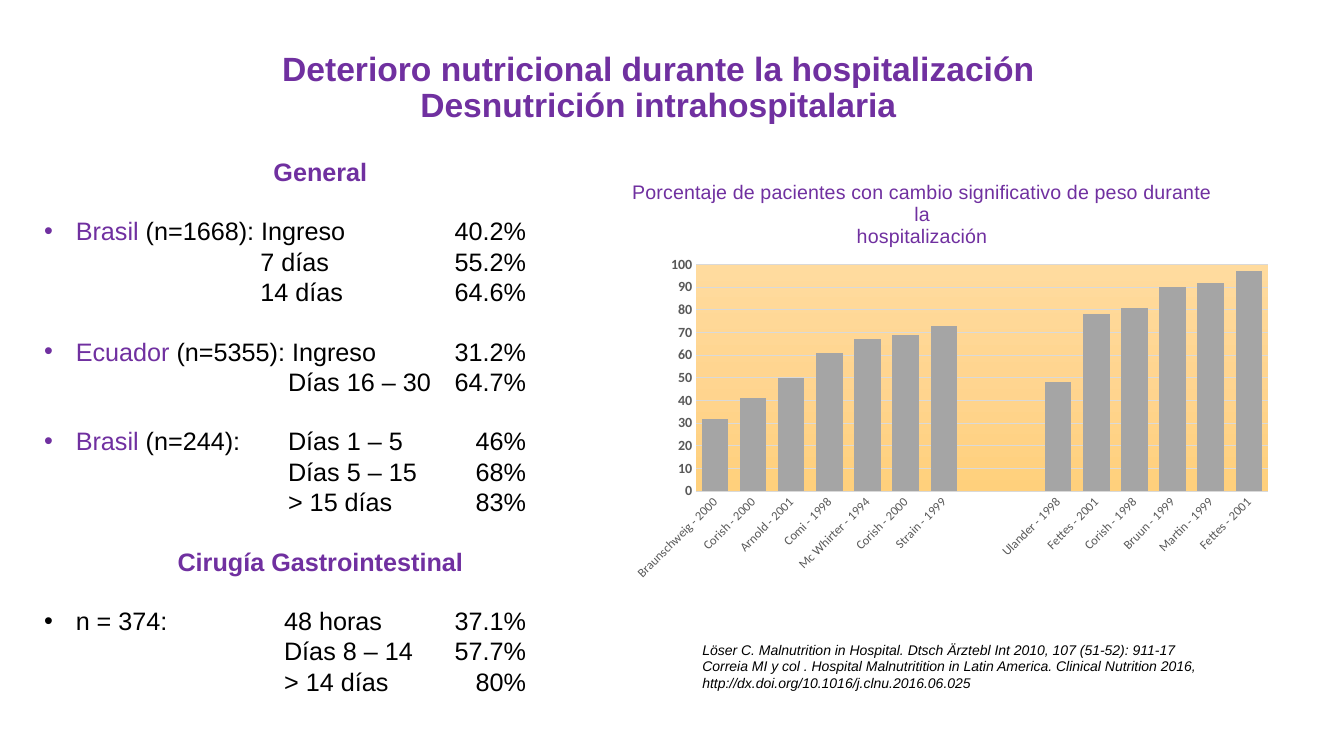
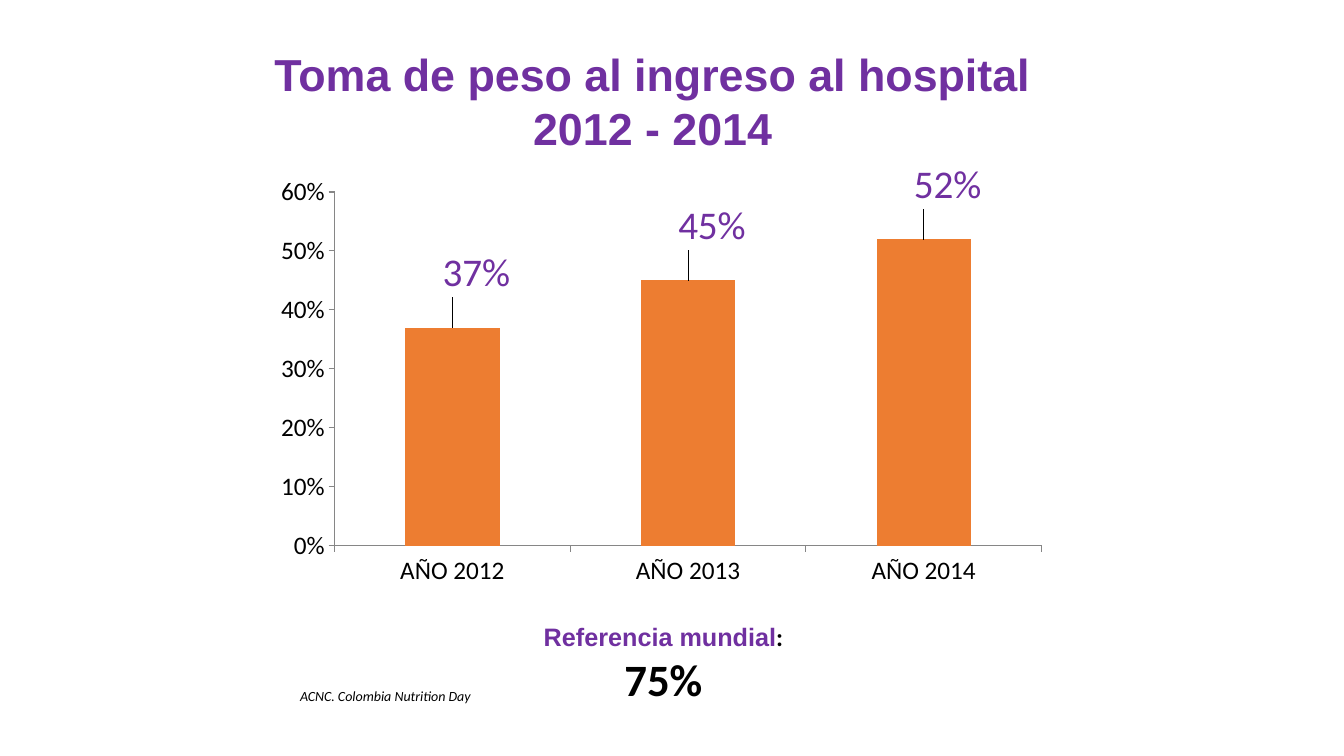
from lxml import etree
from pptx import Presentation
from pptx.chart.data import CategoryChartData
from pptx.dml.color import RGBColor
from pptx.enum.chart import XL_CHART_TYPE, XL_LABEL_POSITION, XL_TICK_MARK
from pptx.enum.text import MSO_ANCHOR, MSO_AUTO_SIZE, PP_ALIGN
from pptx.oxml.ns import qn
from pptx.util import Cm, Pt

COLUMN = XL_CHART_TYPE.COLUMN_CLUSTERED
OUTER = XL_LABEL_POSITION.OUTSIDE_END
NO_TICK, OUT_TICK = XL_TICK_MARK.NONE, XL_TICK_MARK.OUTSIDE
LEFT, CENTER = PP_ALIGN.LEFT, PP_ALIGN.CENTER
MIDDLE = MSO_ANCHOR.MIDDLE
FIXED = MSO_AUTO_SIZE.NONE

PURPLE, BLACK, ORANGE = "7030A0", "000000", "ED7D31"
BAR, GRID, LABEL, AXIS = "A5A5A5", "D9D9D9", "595959", "868686"
GLOW = [(0, "FFDB9E"), (50, "FFD590"), (100, "FFD07C")]

HANG = 0.8       # hanging indent of the bullets, cm
EDGE = 12.15     # right-aligned column of figures, cm
GAP = 21         # space between groups, points

# Each group: name, remark, label column in cm, rows of label and figure
GENERAL = [
    ("Brasil", " (n=1668): Ingreso", 5.45,
     [("", "40.2%"), ("7 días", "55.2%"), ("14 días", "64.6%")]),
    ("Ecuador", " (n=5355): Ingreso", 6.15,
     [("", "31.2%"), ("Días 16 – 30", "64.7%")]),
    ("Brasil", " (n=244):", 6.15,
     [("Días 1 – 5", "46%"), ("Días 5 – 15", "68%"), ("> 15 días", "83%")]),
]
SURGERY = [
    ("", "n = 374:", 6.05,
     [("48 horas", "37.1%"), ("Días 8 – 14", "57.7%"), ("> 14 días", "80%")]),
]
STUDIES = [
    ("Braunschweig - 2000", 32), ("Corish - 2000", 41), ("Arnold - 2001", 50),
    ("Comi - 1998", 61), ("Mc Whirter - 1994", 67), ("Corish - 2000", 69),
    ("Strain - 1999", 73), ("", None), ("", None), ("Ulander - 1998", 48),
    ("Fettes - 2001", 78), ("Corish - 1998", 81), ("Bruun - 1999", 90),
    ("Martin - 1999", 92), ("Fettes - 2001", 97),
]
YEARS = [("AÑO 2012", 0.37), ("AÑO 2013", 0.45), ("AÑO 2014", 0.52)]


def rgb(code):
    return RGBColor.from_string(code)


def style(font, size, color, face="Arial", bold=False, slant=False):
    font.name, font.size = face, Pt(size)
    font.bold, font.italic = bold, slant
    font.color.rgb = rgb(color)


def add_run(para, text, *look, **more):
    run = para.add_run()
    run.text = text
    style(run.font, *look, **more)


def node(owner, tag, **attrs):
    return etree.SubElement(owner, qn(tag), attrs)


def add_box(slide, box):
    frame = slide.shapes.add_textbox(*map(Cm, box)).text_frame
    frame.word_wrap = True
    return frame


def new_para(frame, align=LEFT, before=0):
    first = frame.paragraphs[0]
    para = frame.add_paragraph() if first.runs else first
    para.alignment = align
    para.space_before = Pt(before)
    return para


def add_slide(deck, lines, box, size, pitch):
    """Title-only slide with a centred purple heading."""
    slide = deck.slides.add_slide(deck.slide_layouts[5])
    title = slide.shapes.title
    title.left, title.top, title.width, title.height = map(Cm, box)
    frame = title.text_frame
    frame.word_wrap, frame.auto_size = True, FIXED
    frame.vertical_anchor = MIDDLE
    para = new_para(frame, CENTER)
    para.line_spacing = pitch
    for i, line in enumerate(lines):
        if i:
            para.add_line_break()
        add_run(para, line, size, PURPLE, bold=True)
    return slide


# Bulleted list with tabbed columns

def set_tabs(para, stop, bullet):
    props = para._p.get_or_add_pPr()
    if bullet:
        props.set("marL", str(Cm(HANG)))
        props.set("indent", str(-Cm(HANG)))
        node(props, "a:buFont", typeface="Arial")
        node(props, "a:buChar", char="•")
    tabs = node(props, "a:tabLst")
    for pos, side in ((stop, "l"), (EDGE, "r")):
        node(tabs, "a:tab", pos=str(Cm(pos)), algn=side)


def add_group(frame, name, note, stop, rows):
    for i, (label, value) in enumerate(rows):
        para = new_para(frame, before=0 if i else GAP)
        set_tabs(para, stop, not i)
        if not i:
            if name:
                add_run(para, name, 18, PURPLE)
            add_run(para, note, 18, BLACK)
        cells = [label, value] if label else [value]
        add_run(para, "".join("\t" + cell for cell in cells), 18, BLACK)


def add_list(slide, box):
    frame = add_box(slide, box)
    parts = (("General", GENERAL, 0), ("Cirugía Gastrointestinal", SURGERY, GAP))
    for head, groups, before in parts:
        add_run(new_para(frame, CENTER, before), head, 18, PURPLE, bold=True)
        for group in groups:
            add_group(frame, *group)


# Charts

def place(owner, spot, **fracs):
    """Set a manual chart layout as child number spot."""
    for old in owner.findall(qn("c:layout")):
        owner.remove(old)
    layout = etree.Element(qn("c:layout"))
    owner.insert(spot, layout)
    manual = node(layout, "c:manualLayout")
    if "w" in fracs:
        node(manual, "c:layoutTarget", val="inner")
        modes = ("xMode", "yMode")
    else:
        modes = ("xMode", "yMode") if spot and owner.tag == qn("c:title") else ()
    for mode in modes:
        node(manual, "c:" + mode, val="edge")
    for key, value in fracs.items():
        node(manual, "c:" + key, val=str(value))


def add_columns(slide, box, data, form, gap, color, top, step, plot):
    source = CategoryChartData(number_format=form)
    source.categories = [name for name, _ in data]
    source.add_series("Series 1", [value for _, value in data])
    chart = slide.shapes.add_chart(COLUMN, *map(Cm, box), source).chart
    chart.has_legend = chart.has_title = False
    bars = chart.plots[0]
    bars.gap_width, bars.vary_by_categories = gap, False
    fill = bars.series[0].format.fill
    fill.solid()
    fill.fore_color.rgb = rgb(color)
    axis = chart.value_axis
    axis.minimum_scale, axis.maximum_scale, axis.major_unit = 0, top, step
    axis.has_major_gridlines = False
    place(chart._chartSpace.chart.plotArea, 0, **plot)
    return chart


def draw_line(line, color):
    line.color.rgb = rgb(color)
    line.width = Pt(0.75)


def add_studies(slide, box):
    plot = dict(x=0.18, y=0.22, w=0.77, h=0.44)
    chart = add_columns(slide, box, STUDIES, "General", 44, BAR, 100, 10, plot)
    chart.plots[0].overlap = -27
    # Axes
    cats, vals = chart.category_axis, chart.value_axis
    cats.major_tick_mark = vals.major_tick_mark = NO_TICK
    style(cats.tick_labels.font, 9, LABEL, "Calibri")
    style(vals.tick_labels.font, 10, LABEL, "Calibri", bold=True)
    turn = cats._element.find(qn("c:txPr")).find(qn("a:bodyPr"))
    turn.set("rot", "-2700000")
    turn.set("vert", "horz")
    draw_line(cats.format.line, GRID)
    vals.format.line.fill.background()
    vals.has_major_gridlines = True
    draw_line(vals.major_gridlines.format.line, GRID)
    # Title
    frame = chart.chart_title.text_frame
    for line in ("Porcentaje de pacientes con cambio significativo de peso durante la",
                 "hospitalización"):
        add_run(new_para(frame, CENTER), line, 14, PURPLE)
    place(chart.chart_title._element, 1, x=0.09, y=0.05)
    # Gradient behind the columns
    shade = node(node(chart._chartSpace.chart.plotArea, "c:spPr"), "a:gradFill")
    stops = node(shade, "a:gsLst")
    for pos, code in GLOW:
        node(node(stops, "a:gs", pos=str(pos * 1000)), "a:srgbClr", val=code)
    node(shade, "a:lin", ang="5400000", scaled="0")


def add_years(slide, box):
    plot = dict(x=0.09, y=0.08, w=0.89, h=0.81)
    chart = add_columns(slide, box, YEARS, "0%", 150, ORANGE, 0.6, 0.1, plot)
    for axis in (chart.category_axis, chart.value_axis):
        axis.major_tick_mark = OUT_TICK
        style(axis.tick_labels.font, 18, BLACK, "Calibri")
        draw_line(axis.format.line, AXIS)
    # Labels lifted above the columns
    for i in range(len(YEARS)):
        label = chart.plots[0].series[0].points[i].data_label
        style(label.font, 28, PURPLE, "Calibri")
        label.position = OUTER
        place(label._dLbl, 1, x=0.03, y=-0.06)


# Slides

def build_decline(deck):
    slide = add_slide(deck, ["Deterioro nutricional durante la hospitalización",
                             "Desnutrición intrahospitalaria"],
                      (6.71, 1.07, 19.76, 2.31), 24, 0.9)
    add_studies(slide, (14.17, 3.81, 18.72, 12.98))
    add_list(slide, (0.86, 3.81, 14.43, 14.1))
    refs = add_box(slide, (17.45, 16.03, 15.19, 1.55))
    for line in (
            "Löser C. Malnutrition in Hospital. Dtsch Ärztebl Int 2010, 107 (51-52): 911-17",
            "Correia MI y col . Hospital Malnutritition in Latin America. "
            "Clinical Nutrition 2016, http://dx.doi.org/10.1016/j.clnu.2016.06.025"):
        add_run(new_para(refs), line, 10, BLACK, slant=True)


def build_weight(deck):
    slide = add_slide(deck, ["Toma de peso al ingreso al hospital", "2012 - 2014"],
                      (6.25, 1.04, 20.4, 3), 32, 1.0)
    add_years(slide, (6.63, 3.96, 20.02, 11))
    # World reference
    para = new_para(add_box(slide, (12.62, 15.54, 8.2, 2.39)), CENTER)
    add_run(para, "Referencia mundial", 18, PURPLE, bold=True)
    add_run(para, ":", 18, BLACK, "Calibri", bold=True)
    para.add_line_break()
    add_run(para, "75%", 32, BLACK, "Calibri", bold=True)
    # Source
    para = new_para(add_box(slide, (5.61, 17.2, 8.2, 0.69)), CENTER)
    add_run(para, "ACNC. Colombia Nutrition Day", 10, BLACK, "Calibri", slant=True)


def main():
    deck = Presentation()
    deck.slide_width, deck.slide_height = Cm(33.87), Cm(19.05)
    build_decline(deck)
    build_weight(deck)
    deck.save("out.pptx")


if __name__ == "__main__":
    main()
